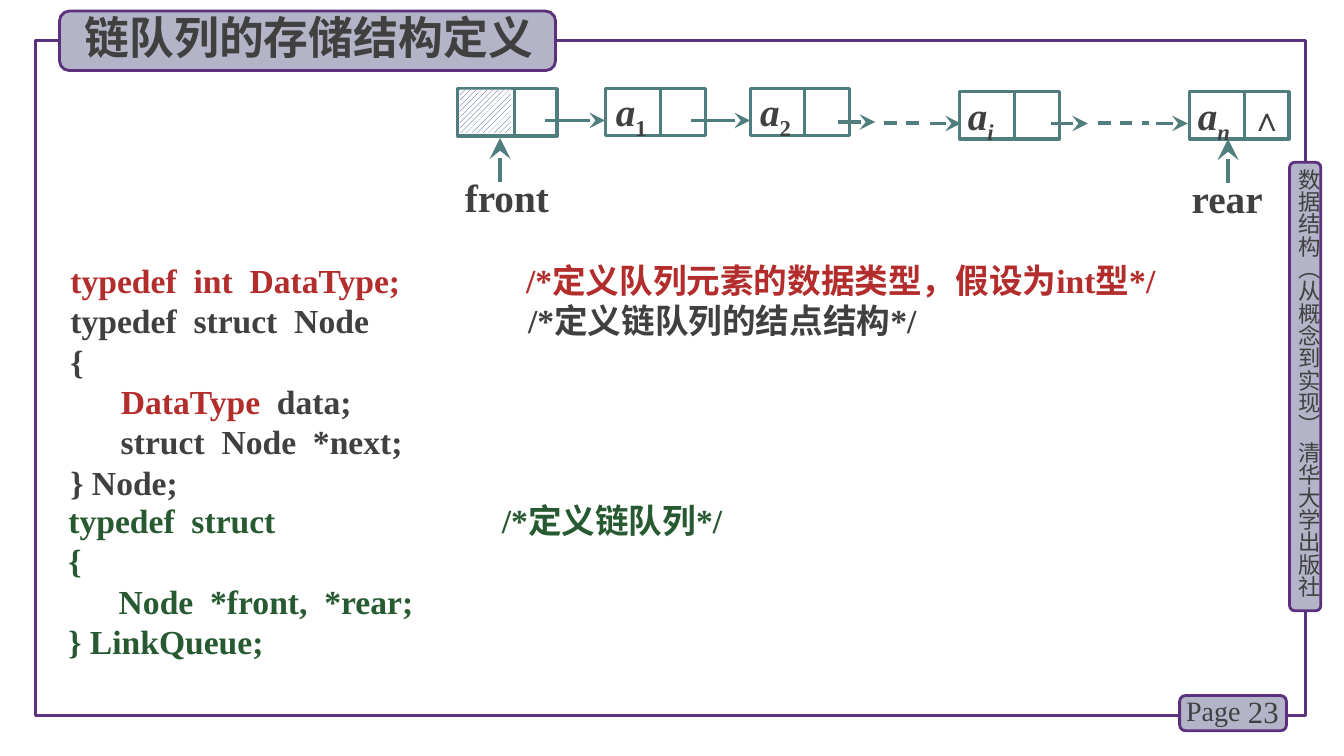
from lxml.etree import SubElement
from pptx import Presentation
from pptx.dml.color import RGBColor
from pptx.enum.dml import MSO_LINE, MSO_PATTERN
from pptx.enum.shapes import MSO_CONNECTOR, MSO_SHAPE
from pptx.enum.text import MSO_ANCHOR, MSO_AUTO_SIZE, PP_ALIGN
from pptx.oxml.ns import qn
from pptx.util import Inches, Pt

COLORS = {
    "white": "FFFFFF", "ink": "404040", "red": "B42D2D", "green": "285A32",
    "teal": "507D7D", "purple": "5C307D", "frame": "5A327D",
    "plate": "B4B4C8", "hatch": "1F497D",
}
SERIF, HAN = "Times New Roman", "Noto Sans CJK SC"
COLUMNS, ROWS = 133.3, 75
NODE_WIDTH, NODE_HEIGHT = 9.85, 4.7


def color(name):
    return RGBColor.from_string(COLORS[name])


def add_text(paragraph, text, size=24, ink="ink", bold=False, italic=False,
             latin=SERIF, baseline=0):
    run = paragraph.add_run()
    run.text = text
    font = run.font
    font.size, font.bold, font.italic, font.name = Pt(size), bold, italic, latin
    font.color.rgb = color(ink)
    properties = run._r.get_or_add_rPr()
    SubElement(properties, qn("a:ea")).set("typeface", HAN)
    if baseline:
        properties.set("baseline", str(baseline * 1000))


class QueueSlide:
    """Draws on a grid of COLUMNS by ROWS cells."""

    def __init__(self, deck):
        self.column = deck.slide_width / COLUMNS
        self.row = deck.slide_height / ROWS
        self.shapes = deck.slides.add_slide(deck.slide_layouts[5]).shapes

    def cells(self, left, top, width, height):
        return (round(left * self.column), round(top * self.row),
                round(width * self.column), round(height * self.row))

    def text_area(self, target, insets=(0.1, 0.05, 0.1, 0.05),
                  anchor=MSO_ANCHOR.TOP, align=PP_ALIGN.LEFT, spacing=1.0):
        """Sets up the text frame and returns its first paragraph."""
        frame = target.text_frame
        frame.word_wrap, frame.auto_size = True, MSO_AUTO_SIZE.NONE
        frame.vertical_anchor = anchor
        (frame.margin_left, frame.margin_top,
         frame.margin_right, frame.margin_bottom) = map(Inches, insets)
        paragraph = frame.paragraphs[0]
        paragraph.alignment, paragraph.line_spacing = align, spacing
        return paragraph

    def box(self, area, kind=MSO_SHAPE.RECTANGLE, fill=None, line=None, weight=2.25):
        shape = self.shapes.add_shape(kind, *self.cells(*area))
        shape.shadow.inherit = False
        if fill:
            shape.fill.solid()
            shape.fill.fore_color.rgb = color(fill)
        else:
            shape.fill.background()
        if line:
            shape.line.color.rgb = color(line)
            shape.line.width = Pt(weight)
        else:
            shape.line.fill.background()
        return shape

    def plate(self, area):
        self.box(area, MSO_SHAPE.ROUNDED_RECTANGLE, "plate", "purple", 2)

    def label(self, area, text, layout=None, vertical=False, **style):
        target = self.shapes.add_textbox(*self.cells(*area))
        add_text(self.text_area(target, **(layout or {})), text, **style)
        if vertical:
            target.text_frame._txBody.bodyPr.set("vert", "eaVert")

    def title(self, area, text):
        heading = self.shapes.title
        heading.left, heading.top, heading.width, heading.height = self.cells(*area)
        add_text(self.text_area(heading, align=PP_ALIGN.CENTER), text,
                 size=32, bold=True, latin=HAN)
        self.shapes._spTree.append(heading._element)  # in front of its plate

    def code(self, area, lines):
        """Each line is a tab stop for its comment, then (text, colour) pieces."""
        listing = self.shapes.add_textbox(*self.cells(*area))
        first = self.text_area(listing)
        for number, (comment_tab, *pieces) in enumerate(lines):
            paragraph = listing.text_frame.add_paragraph() if number else first
            if comment_tab:
                tabs = SubElement(paragraph._p.get_or_add_pPr(), qn("a:tabLst"))
                SubElement(tabs, qn("a:tab"), pos=str(Inches(comment_tab)), algn="l")
            paragraph.line_spacing = 1.0
            for text, ink in pieces:
                add_text(paragraph, text, ink=ink, bold=True)

    def line(self, start, end, weight=2.25, arrow=False, dashed=False):
        ends = self.cells(*start, *end)
        connector = self.shapes.add_connector(MSO_CONNECTOR.STRAIGHT, *ends)
        connector.line.color.rgb = color("teal")
        connector.line.width = Pt(weight)
        if dashed:
            connector.line.dash_style = MSO_LINE.DASH
        if arrow:
            SubElement(connector.line._get_or_add_ln(), qn("a:tailEnd"),
                       type="stealth", w="lg", len="lg")
        SubElement(connector._element.spPr, qn("a:effectLst"))

    def node(self, left, top, subscript="", inset=0.1, data_width=5.4):
        cell = self.box((left, top, NODE_WIDTH, NODE_HEIGHT), line="teal")
        divider = left + data_width
        self.line((divider, top), (divider, top + NODE_HEIGHT))
        if subscript:
            paragraph = self.text_area(cell, (inset, 0, 0, 0.08), spacing=0.9)
            add_text(paragraph, "a", size=28, bold=True, italic=True)
            add_text(paragraph, subscript, size=28, bold=True,
                     italic=subscript.isalpha(), baseline=-25)

    def hatch(self, area):
        fill = self.box(area).fill
        fill.patterned()
        fill.pattern = MSO_PATTERN.WIDE_UPWARD_DIAGONAL
        fill.fore_color.rgb, fill.back_color.rgb = color("hatch"), color("white")

    def pointer(self, name, left, arrow_x, top):
        self.label((left, top, 8.6, 3.5), name,
                   {"insets": (0, 0, 0, 0), "spacing": 0.8}, size=28, bold=True)
        self.line((arrow_x, top), (arrow_x, top - 4.4), weight=3, arrow=True)


def main():
    deck = Presentation()
    deck.slide_width, deck.slide_height = Inches(13.33), Inches(7.5)
    page = QueueSlide(deck)

    page.box((3.5, 4, 126, 67), line="frame")
    page.plate((127.9, 16.1, 3.1, 44.5))
    page.label((128.5, 16.7, 2.7, 44.9), "数据结构（从概念到实现） 清华大学出版社",
               {"insets": (0, 0, 0, 0)}, vertical=True, size=16, latin=HAN)
    page.plate((117, 69, 10.6, 3.5))
    page.label((121.9, 68.6, 5.9, 4), "23",
               {"anchor": MSO_ANCHOR.MIDDLE, "align": PP_ALIGN.RIGHT}, size=22)
    page.label((116.65, 68.3, 7.8, 4.4), "Page", size=20)

    page.node(45.4, 8.8, data_width=5.6)
    for left, top, subscript, inset in (
            (60.1, 8.75, "1", 0.1), (74.4, 8.75, "2", 0.1),
            (95.2, 9.1, "i", 0.08), (118, 9.1, "n", 0.08)):
        page.node(left, top, subscript, inset)
    page.hatch((45.6, 8.9, 5.1, 4.3))
    page.label((123, 9.2, 4.9, 5), "∧", bold=True)

    for start, end, y in ((54.1, 60, 11.95), (68.5, 74.4, 11.95), (83.1, 86.8, 12.1),
                          (92.2, 95.3, 12.25), (104.2, 107.9, 12.25),
                          (114.7, 117.8, 12.25)):
        page.line((start, y), (end, y), arrow=True)
    for start, end in ((87.7, 91.3), (108.9, 114)):
        page.line((start, 12.2), (end, 12.2), dashed=True)
    page.pointer("front", 46.1, 49.6, 18.1)
    page.pointer("rear", 118.2, 121.8, 18.2)

    page.code((6, 25.3, 118.7, 25.2), [
        (4.52, ("typedef  int  DataType;\t/*定义队列元素的数据类型，假设为int型*/", "red")),
        (4.54, ("typedef  struct  Node\t/*定义链队列的结点结构*/", "ink")),
        (0, ("{", "ink")),
        (0, ("      ", "ink"), ("DataType ", "red"), (" data;", "ink")),
        (0, ("      struct  Node  *next;", "ink")),
        (0, ("} Node;", "ink")),
    ])
    page.code((5.8, 49.1, 118.7, 17.2), [
        (4.3, ("typedef  struct\t/*定义链队列*/", "green")),
        (0, ("{", "green")),
        (0, ("      Node  *front,  *rear;", "green")),
        (0, ("} LinkQueue;", "green")),
    ])

    page.plate((5.9, 1.1, 49.2, 5.9))
    page.title((7.3, 0.5, 46.7, 6.4), "链队列的存储结构定义")
    deck.save("out.pptx")


if __name__ == "__main__":
    main()
